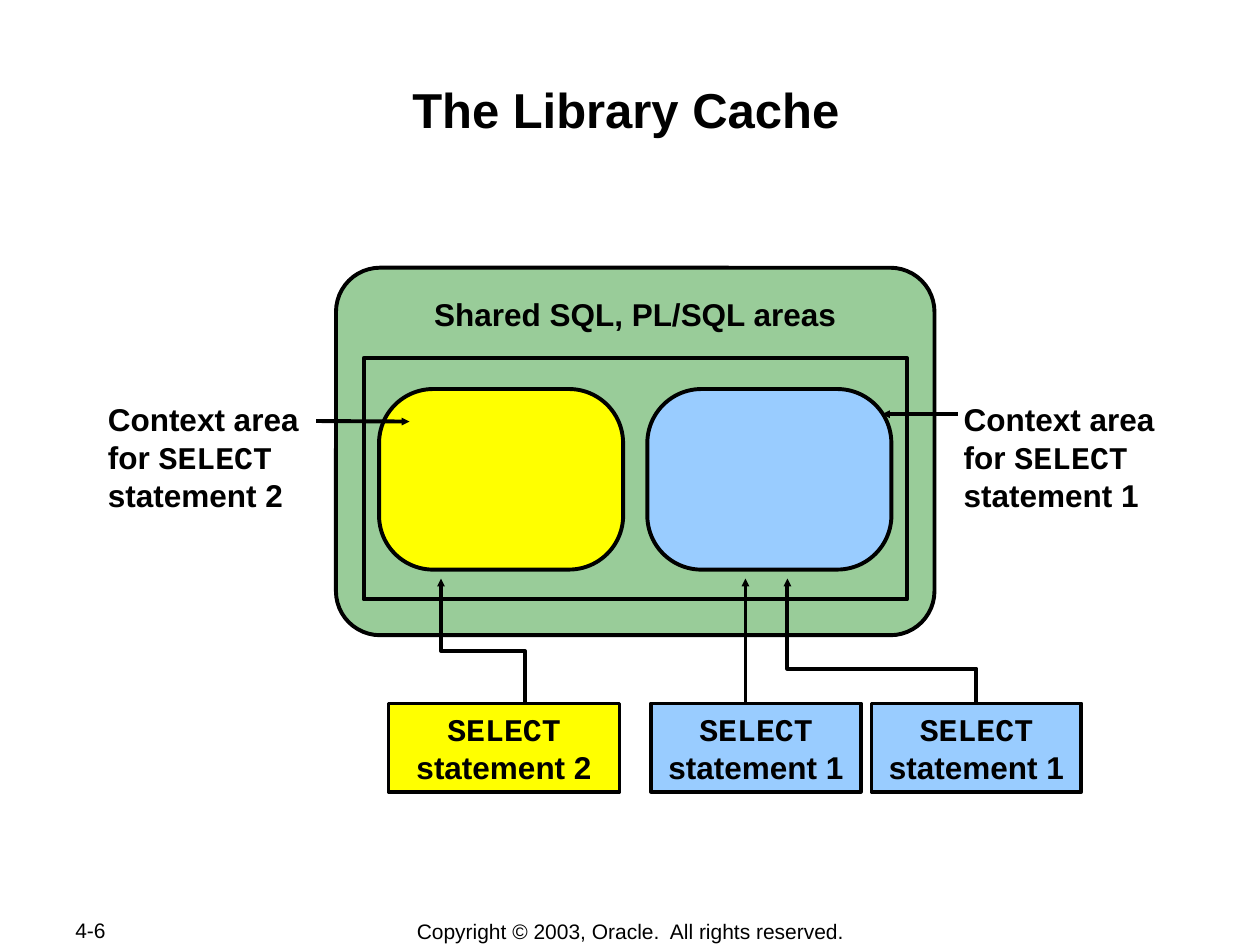
from lxml.etree import SubElement
from pptx import Presentation
from pptx.dml.color import RGBColor
from pptx.enum.shapes import MSO_CONNECTOR, MSO_SHAPE
from pptx.enum.text import MSO_ANCHOR, PP_ALIGN
from pptx.oxml.ns import qn
from pptx.util import Inches, Pt

COLUMNS_PER_INCH = 12
BLACK, GREEN, YELLOW, BLUE = "000000", "99CC99", "FFFF00", "99CCFF"
CODE_WORD = "SELECT"


def grid(*cells):
    """Turn columns and rows of the twelfth-inch grid into lengths."""
    return [Inches(cell / COLUMNS_PER_INCH) for cell in cells]


def color(value):
    """Return the colour for a hex string."""
    return RGBColor.from_string(value)


def write_lines(frame, lines, size=18, bold=True, align=PP_ALIGN.CENTER, anchor=MSO_ANCHOR.TOP):
    """Write one paragraph per line, with the code word in a fixed-width font."""
    frame.word_wrap = True
    frame.vertical_anchor = anchor
    for index, line in enumerate(lines):
        para = frame.paragraphs[0] if index == 0 else frame.add_paragraph()
        para.alignment = align
        for part in filter(None, line.partition(CODE_WORD)):
            span = para.add_run()
            span.text = part
            span.font.name = "Courier New" if part == CODE_WORD else "Arial"
            span.font.size = Pt(size)
            span.font.bold = bold
            span.font.color.rgb = color(BLACK)


def add_title(slide, text):
    """Place and format the title placeholder."""
    title = slide.shapes.title
    title.left, title.top, title.width, title.height = grid(11.6, 7, 96, 11.5)
    frame = title.text_frame
    frame.margin_left = frame.margin_right = frame.margin_bottom = Inches(0.01)
    frame.margin_top = Inches(0.05)
    write_lines(frame, [text], size=28)


def add_label(slide, area, lines, **style):
    """Add a text box on the grid."""
    box = slide.shapes.add_textbox(*grid(*area))
    if style.get("align") == PP_ALIGN.LEFT:
        box.text_frame.margin_right = 0
    write_lines(box.text_frame, lines, **style)


def add_box(slide, area, fill=None, rounding=None):
    """Add an outlined rectangle, rounded when a rounding is given."""
    kind = MSO_SHAPE.RECTANGLE if rounding is None else MSO_SHAPE.ROUNDED_RECTANGLE
    box = slide.shapes.add_shape(kind, *grid(*area))
    box.shadow.inherit = False
    if rounding is not None:
        box.adjustments[0] = rounding
    if fill:
        box.fill.solid()
        box.fill.fore_color.rgb = color(fill)
    else:
        box.fill.background()
    draw_line(box.line)
    return box


def add_statement(slide, left, width, number, fill):
    """Add a box that names one SELECT statement."""
    box = add_box(slide, (left, 67, width, 8.4), fill)
    write_lines(box.text_frame, [CODE_WORD, f"statement {number}"], anchor=MSO_ANCHOR.MIDDLE)


def add_context_label(slide, left, width, number):
    """Add the label of one context area."""
    lines = ["Context area", f"for {CODE_WORD}", f"statement {number}"]
    add_label(slide, (left, 37.5, width, 12), lines, align=PP_ALIGN.LEFT)


def draw_line(line):
    """Give an outline the common black stroke."""
    line.color.rgb = color(BLACK)
    line.width = Pt(2.25)


def add_arrowhead(line):
    """End a line with a small triangle."""
    SubElement(line._get_or_add_ln(), qn("a:tailEnd"), type="triangle", w="sm", len="sm")


def add_arrow(slide, start, end):
    """Add a straight arrow between two grid points."""
    arrow = slide.shapes.add_connector(MSO_CONNECTOR.STRAIGHT, *grid(*start, *end))
    draw_line(arrow.line)
    add_arrowhead(arrow.line)
    SubElement(arrow._element.spPr, qn("a:effectLst"))


def add_stepped_arrow(slide, start, bend_row, end):
    """Add an arrow that runs sideways along the bend row."""
    points = [(start[0], bend_row), (end[0], bend_row), end]
    builder = slide.shapes.build_freeform(*grid(*start))
    builder.add_line_segments([grid(*point) for point in points], close=False)
    arrow = builder.convert_to_shape()
    arrow.shadow.inherit = False
    arrow.fill.background()
    draw_line(arrow.line)
    add_arrowhead(arrow.line)


def main():
    """Build the library cache slide."""
    deck = Presentation()
    deck.slide_width, deck.slide_height = grid(120, 90)
    page = deck.slides.add_slide(deck.slide_layouts[5])

    footer = {"size": 12, "bold": False, "anchor": MSO_ANCHOR.MIDDLE}
    add_label(page, (6, 87.4, 12.7, 2.4), ["4-6"], align=PP_ALIGN.LEFT, **footer)
    add_label(page, (33.1, 87.4, 53.9, 2.5), ["Copyright © 2003, Oracle.  All rights reserved."], **footer)

    add_box(page, (32, 25.5, 57, 35), GREEN, 0.12)
    add_label(page, (38.75, 27.5, 43.5, 4.8), ["Shared SQL, PL/SQL areas"])
    add_box(page, (34.65, 34.1, 51.75, 23))
    for left, fill in ((36.1, YELLOW), (61.65, BLUE)):
        add_box(page, (left, 37.05, 23.25, 17.2), fill, 0.3)

    add_title(page, "The Library Cache")
    add_context_label(page, 9.1, 20.6, 2)
    add_context_label(page, 90.6, 23.4, 1)

    add_arrow(page, (30.1, 40.1), (39, 40.15))
    add_arrow(page, (91.2, 39.45), (84, 39.45))
    add_stepped_arrow(page, (93, 69), 63.7, (75, 55.1))
    add_stepped_arrow(page, (50, 67), 62, (42, 55.1))
    add_arrow(page, (71, 69), (71, 55.1))
    for left, width, number, fill in ((37, 22, 2, YELLOW), (83, 20, 1, BLUE), (62, 20, 1, BLUE)):
        add_statement(page, left, width, number, fill)

    deck.save("out.pptx")


if __name__ == "__main__":
    main()
